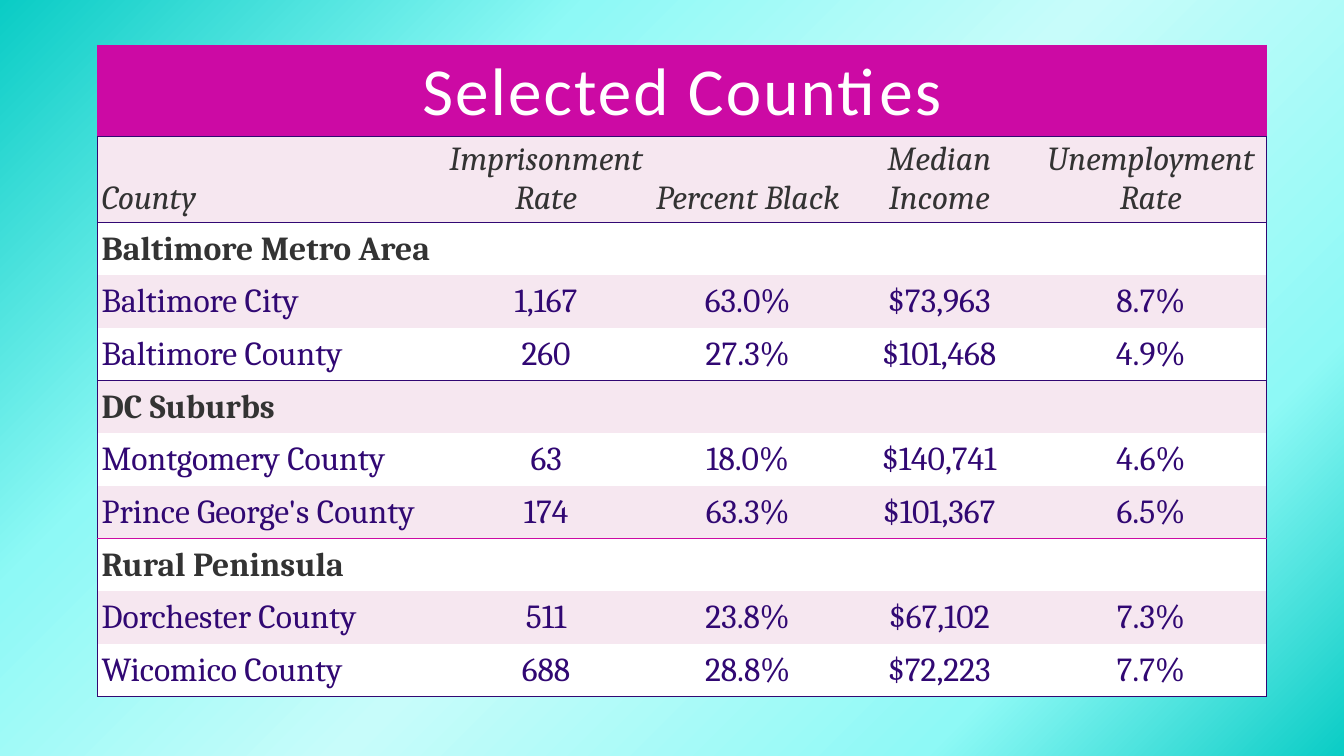
from lxml import etree
from pptx import Presentation
from pptx.dml.color import RGBColor
from pptx.enum.text import MSO_ANCHOR as Anchor, PP_ALIGN as Align
from pptx.oxml import parse_xml
from pptx.oxml.ns import nsdecls, qn
from pptx.util import Pt

COLORS = {
    "magenta": "CC0AA4", "ink": "310873", "gray": "333333",
    "pink": "F6E7F0", "white": "FFFFFF",
    "teal": "0ACCC5", "aqua": "8EF9F6", "ice": "C7FCFA",
}
BACKGROUND_STOPS = [(0, "teal"), (28, "aqua"), (52, "ice"), (80, "aqua"), (100, "teal")]
NO_STYLE = "{2D5ABB26-0587-4C30-8999-92F81FD0307C}"

# A row with a single entry spans the whole table
ROWS = [
    ("Selected Counties",),
    ("County", "Imprisonment Rate", "Percent Black", "Median Income", "Unemployment Rate"),
    ("Baltimore Metro Area",),
    ("Baltimore City", "1,167", "63.0%", "$73,963", "8.7%"),
    ("Baltimore County", "260", "27.3%", "$101,468", "4.9%"),
    ("DC Suburbs",),
    ("Montgomery County", "63", "18.0%", "$140,741", "4.6%"),
    ("Prince George's County", "174", "63.3%", "$101,367", "6.5%"),
    ("Rural Peninsula",),
    ("Dorchester County", "511", "23.8%", "$67,102", "7.3%"),
    ("Wicomico County", "688", "28.8%", "$72,223", "7.7%"),
]
COLUMN_WIDTHS = [244.8, 151.2, 136.8, 136.8, 165.6]
TITLE_HEIGHT, ROW_HEIGHT = 65, 29.5
RULES_BELOW = {0: "ink", 1: "ink", 4: "ink", 7: "magenta", 10: "ink"}


def set_background(slide):
    stops = "".join(
        f'<a:gs pos="{position * 1000}"><a:srgbClr val="{COLORS[name]}"/></a:gs>'
        for position, name in BACKGROUND_STOPS)
    background = parse_xml(
        f'<p:bg {nsdecls("p", "a")}><p:bgPr><a:gradFill rotWithShape="1"><a:gsLst>{stops}</a:gsLst>'
        '<a:path path="circle"><a:fillToRect r="100000" b="100000"/></a:path>'
        '</a:gradFill><a:effectLst/></p:bgPr></p:bg>')
    slide.element.cSld.insert(0, background)


def set_borders(cell, borders):
    properties = cell._tc.get_or_add_tcPr()
    for side in ("L", "R", "T", "B"):
        color = borders.get(side)
        line = etree.SubElement(properties, qn(f"a:ln{side}"), w=str(Pt(1) if color else 0))
        if color:
            fill = etree.SubElement(line, qn("a:solidFill"))
            etree.SubElement(fill, qn("a:srgbClr"), val=COLORS[color])
        else:
            etree.SubElement(line, qn("a:noFill"))


def cell_borders(row, column, spans):
    side_color = "ink" if row else "magenta"
    borders = {"T": RULES_BELOW.get(row - 1) if row else "magenta",
               "B": RULES_BELOW.get(row)}
    if column == 0:
        borders["L"] = side_color
    if spans or column == len(COLUMN_WIDTHS) - 1:
        borders["R"] = side_color
    return borders


def row_look(row):
    """Fill, anchor, top and bottom inset, and font settings of a row."""
    band = "pink" if row % 2 else "white"
    if row == 0:
        return "magenta", Anchor.BOTTOM, (2.2, 2.2), ("Calibri", 48, "white", False, False)
    if row == 1:
        return band, Anchor.BOTTOM, (2.9, 3.6), ("Cambria", 24, "gray", False, True)
    is_group = len(ROWS[row]) == 1
    return band, Anchor.MIDDLE, (5, 5), (
        "Cambria", 24, "gray" if is_group else "ink", is_group, False)


def add_text(cell, text, align, font_look):
    paragraph = cell.text_frame.paragraphs[0]
    paragraph.alignment = align
    run = paragraph.add_run()
    run.text = text
    font = run.font
    font.name, size, color, font.bold, font.italic = font_look
    font.size = Pt(size)
    font.color.rgb = RGBColor.from_string(COLORS[color])
    return run


def fill_row(table, row):
    texts = ROWS[row]
    spans = len(texts) == 1
    fill, anchor, (top, bottom), font_look = row_look(row)
    if spans:
        table.cell(row, 0).merge(table.cell(row, len(COLUMN_WIDTHS) - 1))
    for column in range(len(COLUMN_WIDTHS)):
        cell = table.cell(row, column)
        set_borders(cell, cell_borders(row, column, spans))
        cell.fill.solid()
        cell.fill.fore_color.rgb = RGBColor.from_string(COLORS[fill])
        cell.vertical_anchor = anchor
        cell.margin_left = cell.margin_right = Pt(2.9)
        cell.margin_top, cell.margin_bottom = Pt(top), Pt(bottom)
        if column < len(texts):
            align = Align.CENTER if row == 0 or column else Align.LEFT
            run = add_text(cell, texts[column], align, font_look)
            if row == 0:
                run.font._element.set("spc", "150")


def add_county_table(slide):
    frame = slide.shapes.add_table(
        len(ROWS), len(COLUMN_WIDTHS), Pt(69.7), Pt(32.4), Pt(835.2), Pt(474.5))
    table = frame.table
    table.first_row = table.horz_banding = False
    table._tbl.tblPr.find(qn("a:tableStyleId")).text = NO_STYLE
    for column, width in zip(table.columns, COLUMN_WIDTHS):
        column.width = Pt(width)
    for index, row in enumerate(table.rows):
        row.height = Pt(ROW_HEIGHT if index else TITLE_HEIGHT)
        fill_row(table, index)
    # Rows grow to fit their text, so the frame is taller than their sum
    frame.height = Pt(474.5)


def main():
    presentation = Presentation()
    presentation.slide_width, presentation.slide_height = Pt(960), Pt(540)
    slide = presentation.slides.add_slide(presentation.slide_layouts[6])
    set_background(slide)
    add_county_table(slide)
    presentation.save("out.pptx")


if __name__ == "__main__":
    main()
